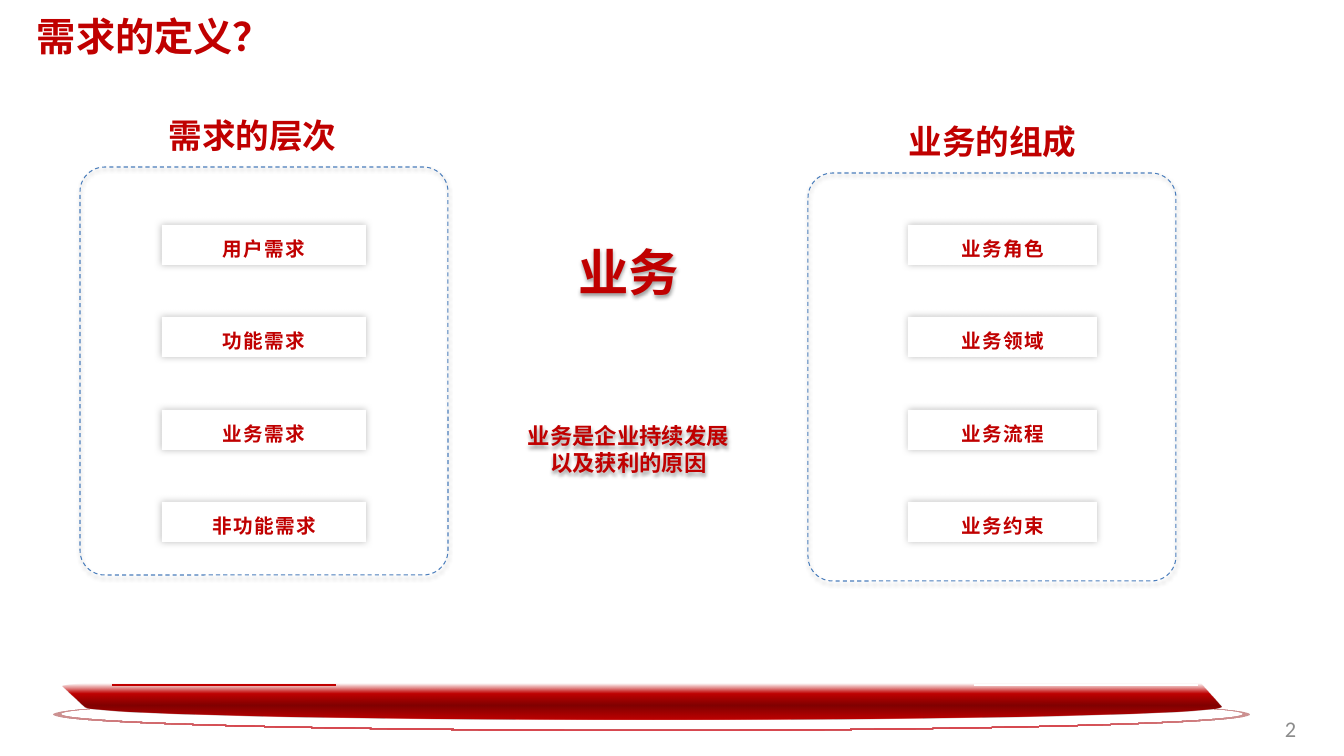
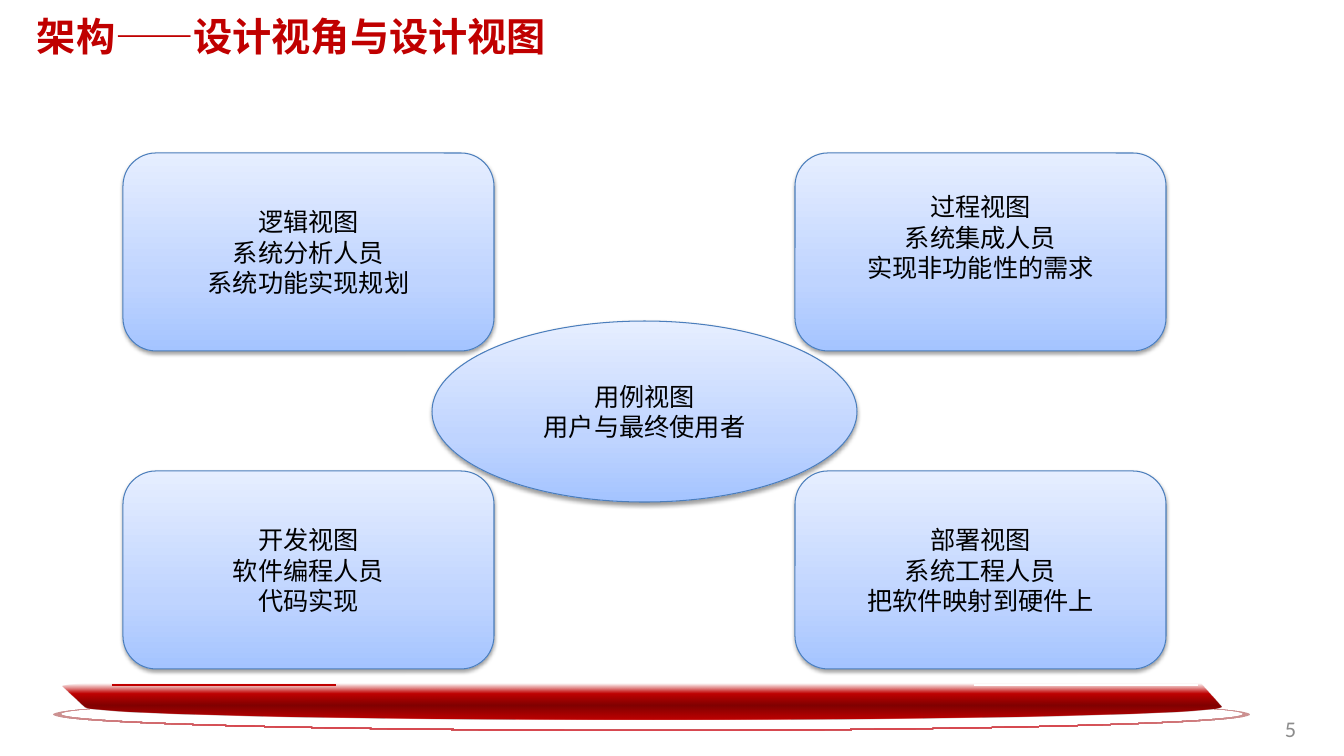
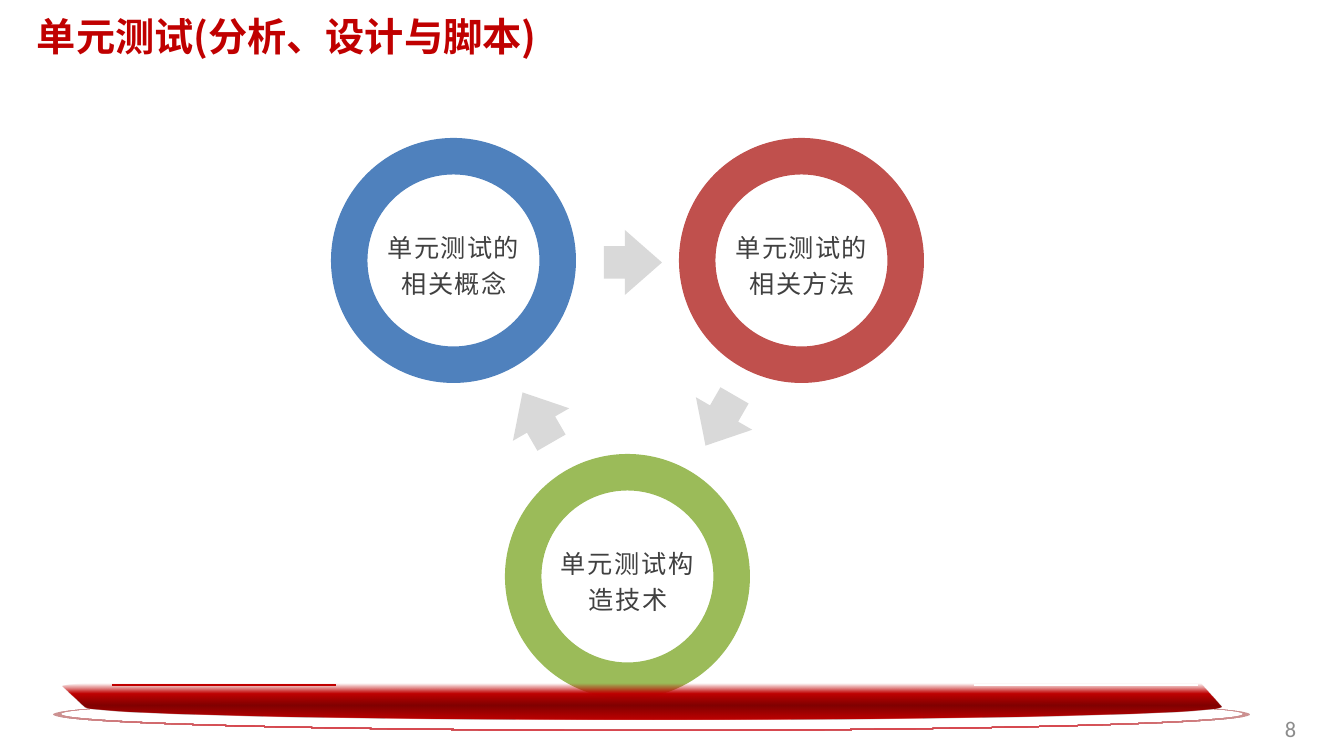
from lxml import etree
from pptx import Presentation
from pptx.dml.color import RGBColor
from pptx.enum.dml import MSO_LINE
from pptx.enum.shapes import MSO_CONNECTOR, MSO_SHAPE
from pptx.enum.text import MSO_ANCHOR, MSO_AUTO_SIZE, PP_ALIGN
from pptx.oxml.ns import qn
from pptx.util import Pt

PX = 914400 / 100.8
SLIDE_W, SLIDE_H = 1344, 756
CJK_FONT = "Noto Sans CJK SC"
ROUNDING = 0.55

RED = RGBColor(0xC0, 0x00, 0x00)
DARK_RED = RGBColor(0x80, 0x00, 0x00)
RING_RED = RGBColor(0xD8, 0x48, 0x50)
RING_PINK = RGBColor(0xCC, 0x92, 0x92)
WHITE = RGBColor(0xFF, 0xFF, 0xFF)
BLACK = RGBColor(0x00, 0x00, 0x00)
DARK_GREY = RGBColor(0x40, 0x40, 0x40)
PAGE_GREY = RGBColor(0x8C, 0x8C, 0x8C)
SHADOW_GREY = RGBColor(0xBF, 0xBF, 0xBF)
ARROW_GREY = RGBColor(0xD9, 0xD9, 0xD9)
OUTLINE_BLUE = RGBColor(0x4B, 0x7E, 0xBC)
PALE_BLUE = RGBColor(0xE6, 0xEE, 0xFF)
MID_BLUE = RGBColor(0xBF, 0xD4, 0xFF)
SOFT_BLUE = RGBColor(0xA4, 0xC4, 0xFF)
DONUT_BLUE = RGBColor(0x4F, 0x81, 0xBD)
DONUT_RED = RGBColor(0xC0, 0x50, 0x4D)
DONUT_GREEN = RGBColor(0x9B, 0xBB, 0x59)

VIEW_GRADIENT = [(0, PALE_BLUE, 100), (65, MID_BLUE, 100), (100, SOFT_BLUE, 100)]
BAND_GRADIENT = [(0, RED, 0), (28, RED, 100), (60, DARK_RED, 100), (100, RED, 100)]
RING_GRADIENT = [(0, RING_PINK, 100), (15, RING_RED, 100), (85, RING_RED, 100),
                 (100, RING_PINK, 100)]
SOFT_SHADOW = (BLACK, 38, 3.1, 1.6)
CARD_SHADOW = (SHADOW_GREY, 100, 5, 0)


def px(value):
    """Turn pixels into EMU."""
    return round(value * PX)


def box_px(*box):
    """Turn a box in pixels into EMU."""
    return [px(value) for value in box]


def add_color(parent, color, alpha):
    """Append a colour with an opacity in percent."""
    node = etree.SubElement(parent, qn("a:srgbClr"), val=str(color))
    etree.SubElement(node, qn("a:alpha"), val=str(alpha * 1000))


def set_gradient(shape, stops, angle):
    """Fill a shape with (percent, colour, opacity) stops."""
    shape.fill.background()
    old = shape._element.spPr.find(qn("a:noFill"))
    gradient = etree.Element(qn("a:gradFill"), rotWithShape="1")
    stop_list = etree.SubElement(gradient, qn("a:gsLst"))
    for position, color, alpha in stops:
        stop = etree.SubElement(stop_list, qn("a:gs"), pos=str(position * 1000))
        add_color(stop, color, alpha)
    etree.SubElement(gradient, qn("a:lin"), ang=str(angle * 60000), scaled="0")
    old.getparent().replace(old, gradient)


def set_shadow(shape, color, alpha, blur, distance):
    """Give a shape a downward outer shadow."""
    shape.shadow.inherit = False
    effects = shape._element.spPr.find(qn("a:effectLst"))
    shadow = etree.SubElement(effects, qn("a:outerShdw"), blurRad=str(Pt(blur)),
                              dist=str(Pt(distance)), dir="5400000", rotWithShape="0")
    add_color(shadow, color, alpha)


def write(frame, text, size, color, bold=False, font=CJK_FONT, align=PP_ALIGN.CENTER,
          anchor=MSO_ANCHOR.TOP, spacing=0, line=None):
    """Write text into a frame, one paragraph for each line."""
    frame.word_wrap = True
    frame.auto_size = MSO_AUTO_SIZE.NONE
    frame.vertical_anchor = anchor
    frame.text = text
    for paragraph in frame.paragraphs:
        paragraph.alignment = align
        paragraph.line_spacing = line
        for run in paragraph.runs:
            run.font.size = Pt(size)
            run.font.bold = bold
            run.font.color.rgb = color
            run.font.name = font
            properties = run.font._element
            etree.SubElement(properties, qn("a:ea"), typeface=CJK_FONT)
            if spacing:
                properties.set("spc", str(round(spacing * 100)))


def add_text(slide, box, text, size, color, **style):
    """Add a text box."""
    shape = slide.shapes.add_textbox(*box_px(*box))
    write(shape.text_frame, text, size, color, **style)
    return shape


def add_shape(slide, kind, box, fill=None, outline=None):
    """Add a preset shape without a shadow."""
    shape = slide.shapes.add_shape(kind, *box_px(*box))
    shape.shadow.inherit = False
    if fill is None:
        shape.fill.background()
    else:
        shape.fill.solid()
        shape.fill.fore_color.rgb = fill
    if outline is None:
        shape.line.fill.background()
    else:
        shape.line.color.rgb = outline
        shape.line.width = Pt(0.75)
    return shape


def ellipse(left, top, right, bottom):
    """Return an ellipse as a start point and four (corner, end) quarters."""
    cx, cy = (left + right) / 2, (top + bottom) / 2
    return (left, cy), [((left, top), (cx, top)), ((right, top), (right, cy)),
                        ((right, bottom), (cx, bottom)), ((left, bottom), (left, cy))]


def round_segment(shape, segment, start, corner, end):
    """Bend a straight segment of a freeform towards a corner."""
    controls = [[p + ROUNDING * (c - p) for p, c in zip(point, corner)]
                for point in (start, end)]
    curve = etree.Element(qn("a:cubicBezTo"))
    for x, y in (*controls, end):
        etree.SubElement(curve, qn("a:pt"), x=str(px(x) - shape.left),
                         y=str(px(y) - shape.top))
    segment.getparent().replace(segment, curve)


def add_outline(slide, contours, stops, angle):
    """Add a freeform of straight and rounded segments with a gradient fill."""
    builder = slide.shapes.build_freeform(*box_px(*contours[0][0]), scale=1.0)
    steps = []
    for index, (start, segments) in enumerate(contours):
        if index:
            builder.move_to(*box_px(*start))
        builder.add_line_segments([box_px(*end) for _, end in segments], close=True)
        for corner, end in segments:
            steps.append((start, corner, end))
            start = end
    shape = builder.convert_to_shape()
    for segment, step in zip(list(shape._element.iter(qn("a:lnTo"))), steps):
        if step[1]:
            round_segment(shape, segment, *step)
    shape.shadow.inherit = False
    shape.line.fill.background()
    set_gradient(shape, stops, angle)


def add_line(slide, x1, x2, y, color):
    """Add a level line without a shadow."""
    line = slide.shapes.add_connector(MSO_CONNECTOR.STRAIGHT, *box_px(x1, y, x2, y))
    line.line.color.rgb = color
    line.line.width = Pt(1.5)
    etree.SubElement(line._element.spPr, qn("a:effectLst"))


def add_band(slide):
    """Add the grouped red band and its ring at the foot of the slide."""
    group = slide.shapes.add_group_shape()
    ring = [ellipse(53, 698, 1250, 731), ellipse(61, 698, 1243, 730)]
    add_outline(group, ring, RING_GRADIENT, 0)
    band = (63, 687), [((63, 684), (100, 684)), (None, (1200, 684)), (None, (1221, 707)),
                       ((1221, 720), (653, 720)), ((85, 720), (85, 707))]
    add_outline(group, [band], BAND_GRADIENT, 90)
    add_line(group, 112, 336, 685, RED)
    add_line(group, 1198, 974, 685, WHITE)


def add_slide(deck, title, number):
    """Add a slide with its title and page number."""
    slide = deck.slides.add_slide(deck.slide_layouts[5])
    holder = slide.shapes.title
    holder.left, holder.top, holder.width, holder.height = box_px(30, 0, 1137, 72)
    frame = holder.text_frame
    write(frame, title, 28, RED, bold=True, align=PP_ALIGN.LEFT, anchor=MSO_ANCHOR.MIDDLE)
    frame.margin_left = frame.margin_right = px(7)
    frame.margin_top = frame.margin_bottom = px(4)
    add_text(slide, (1275, 710, 46, 37), number, 16, PAGE_GREY, font="Calibri",
             align=PP_ALIGN.LEFT)
    return slide


def add_card_panel(slide, heading, heading_x, frame_x, top, card_x, card_width, labels):
    """Add a headed dashed frame with a column of cards."""
    for row, label in enumerate(labels):
        card = add_shape(slide, MSO_SHAPE.RECTANGLE,
                         (card_x, 225 + row * 185 // 2, card_width, 40), WHITE)
        set_shadow(card, *CARD_SHADOW)
        write(card.text_frame, label, 14, RED, bold=True, spacing=1, line=1.5)
        card.text_frame.margin_top = 0
        card.text_frame.margin_bottom = px(5)
    frame = add_shape(slide, MSO_SHAPE.ROUNDED_RECTANGLE, (frame_x, top, 368, 408),
                      outline=OUTLINE_BLUE)
    frame.adjustments[0] = 0.067
    frame.line.dash_style = MSO_LINE.DASH
    set_shadow(frame, *SOFT_SHADOW)
    add_text(slide, (heading_x, top - 57, 265, 50), heading, 24, RED, bold=True)


def add_view(slide, kind, box, text):
    """Add a blue view shape with centred text."""
    shape = add_shape(slide, kind, box, outline=OUTLINE_BLUE)
    set_gradient(shape, VIEW_GRADIENT, 90)
    set_shadow(shape, *SOFT_SHADOW)
    write(shape.text_frame, text, 18, BLACK, anchor=MSO_ANCHOR.MIDDLE)
    return shape


def add_donut(slide, x, y, color, text, spacing):
    """Add a ring with a caption in its middle."""
    donut = add_shape(slide, MSO_SHAPE.DONUT, (x, y, 245, 245), color)
    donut.adjustments[0] = 0.149
    caption = add_text(slide, (x + 44, y + 56, 158, 137), text, 18, DARK_GREY, font="Arial",
                       anchor=MSO_ANCHOR.MIDDLE, spacing=spacing, line=1.2)
    caption.text_frame.paragraphs[0].space_after = Pt(8)


def add_arrow(slide, x, y, rotation):
    """Add a grey block arrow."""
    arrow = add_shape(slide, MSO_SHAPE.RIGHT_ARROW, (x, y, 58, 65), ARROW_GREY)
    arrow.adjustments[1] = 0.639
    arrow.rotation = rotation


def build_requirements(deck):
    """Build the slide on requirements and business."""
    slide = add_slide(deck, "需求的定义？", "2")
    add_band(slide)
    add_card_panel(slide, "需求的层次", 120, 80, 167, 162, 204,
                   ["用户需求", "功能需求", "业务需求", "非功能需求"])
    add_card_panel(slide, "业务的组成", 860, 808, 173, 908, 189,
                   ["业务角色", "业务领域", "业务流程", "业务约束"])
    business = add_text(slide, (511, 175, 235, 405),
                        "业务\n业务是企业持续发展以及获利的原因", 36, RED, bold=True)
    business.text_frame.margin_top = px(66)
    reason = business.text_frame.paragraphs[1]
    reason.space_before = Pt(86.5)
    reason.runs[0].font.size = Pt(16)
    set_shadow(business, *SOFT_SHADOW)


def build_views(deck):
    """Build the slide on architecture views."""
    slide = add_slide(deck, "架构——设计视角与设计视图", "5")
    add_view(slide, MSO_SHAPE.OVAL, (432, 321, 425, 181), "用例视图\v用户与最终使用者")
    texts = ["逻辑视图\n系统分析人员\n系统功能实现规划",
             "过程视图\n系统集成人员\n实现非功能性的需求",
             "开发视图\n软件编程人员\n代码实现",
             "部署视图\n系统工程人员\n把软件映射到硬件上"]
    views = [add_view(slide, MSO_SHAPE.ROUNDED_RECTANGLE,
                      (123 + i % 2 * 672, 153 + i // 2 * 318, 371, 198), text)
             for i, text in enumerate(texts)]
    views[1].text_frame.margin_bottom = px(35)
    add_band(slide)


def build_unit_tests(deck):
    """Build the slide on unit tests."""
    slide = add_slide(deck, "单元测试(分析、设计与脚本)", "8")
    add_arrow(slide, 604, 230, 0)
    add_donut(slide, 331, 138, DONUT_BLUE, "单元测试的相关概念", 1)
    add_donut(slide, 679, 138, DONUT_RED, "单元测试的相关方法", 1)
    add_donut(slide, 505, 454, DONUT_GREEN, "单元测试构造技术", 1.2)
    add_arrow(slide, 691, 388, 120)
    add_arrow(slide, 508, 385, 240)
    add_band(slide)


def main():
    """Build and save the deck."""
    deck = Presentation()
    deck.slide_width, deck.slide_height = px(SLIDE_W), px(SLIDE_H)
    build_requirements(deck)
    build_views(deck)
    build_unit_tests(deck)
    deck.save("out.pptx")


main()
